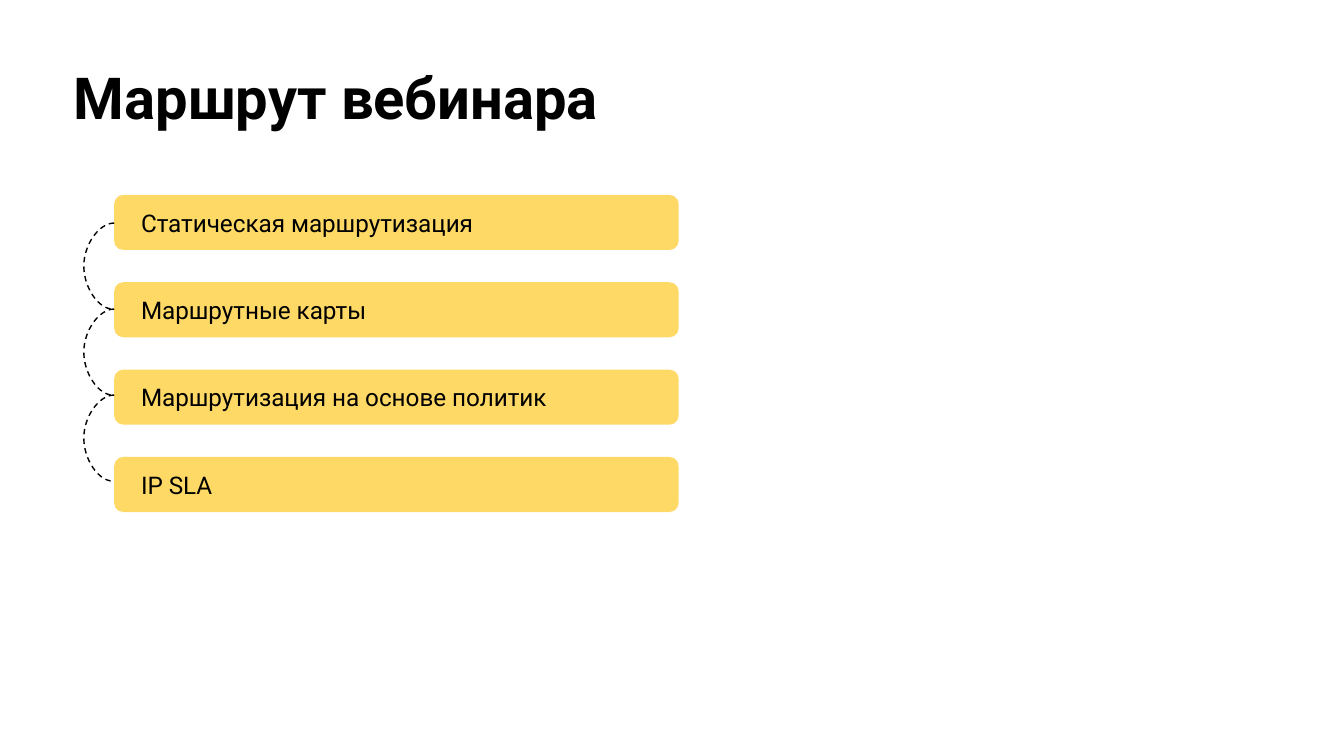
"""Build the webinar route slide."""
from lxml.etree import SubElement
from pptx import Presentation
from pptx.dml.color import RGBColor
from pptx.enum.dml import MSO_LINE
from pptx.enum.shapes import MSO_CONNECTOR, MSO_SHAPE
from pptx.enum.text import MSO_ANCHOR, PP_ALIGN
from pptx.oxml.ns import qn
from pptx.util import Inches, Pt

TITLE = "Маршрут вебинара"
STEPS = [
    "Статическая маршрутизация",
    "Маршрутные карты",
    "Маршрутизация на основе политик",
    "IP SLA",
]
BLACK = RGBColor(0, 0, 0)
YELLOW = RGBColor(0xFF, 0xD9, 0x66)
LEFT, TOP, WIDTH, HEIGHT, PITCH = 0.85, 1.45, 4.2, 0.41, 0.65
ARC_TOP, ARC_STEP, ARC_WIDTH, BULGE = 1.66, 0.64, 0.01, 23


def write(shape, text, size, side, anchor, bold=False):
    frame = shape.text_frame
    frame.word_wrap = True
    frame.vertical_anchor = anchor
    frame.margin_left = frame.margin_right = Inches(side)
    frame.margin_top = frame.margin_bottom = Inches(0.1)
    para = frame.paragraphs[0]
    para.alignment = PP_ALIGN.LEFT
    run = para.add_run()
    run.text = text
    run.font.name = "Roboto"
    run.font.size = Pt(size)
    run.font.bold = bold
    run.font.color.rgb = BLACK


def add_bar(slide, row, text):
    bar = slide.shapes.add_shape(
        MSO_SHAPE.ROUNDED_RECTANGLE, Inches(LEFT), Inches(TOP + row * PITCH),
        Inches(WIDTH), Inches(HEIGHT))
    bar.adjustments[0] = 0.167
    bar.shadow.inherit = False
    bar.fill.solid()
    bar.fill.fore_color.rgb = YELLOW
    bar.line.fill.background()
    write(bar, text, 13, 0.18, MSO_ANCHOR.MIDDLE)


def add_arc(slide, row):
    top = ARC_TOP + row * ARC_STEP
    arc = slide.shapes.add_connector(
        MSO_CONNECTOR.CURVE, Inches(LEFT - ARC_WIDTH), Inches(top + ARC_STEP),
        Inches(LEFT), Inches(top))
    arc.line.color.rgb = BLACK
    arc.line.width = Pt(0.74)
    arc.line.dash_style = MSO_LINE.DASH
    props = arc.element.spPr
    props.find(qn("a:xfrm")).set("rot", "10800000")
    guides = props.find(qn("a:prstGeom")).find(qn("a:avLst"))
    SubElement(guides, qn("a:gd"), name="adj1", fmla=f"val {BULGE * 100000}")
    SubElement(props, qn("a:effectLst"))


deck = Presentation()
deck.slide_width = Inches(10)
deck.slide_height = Inches(10 * 9 / 16)
slide = deck.slides.add_slide(deck.slide_layouts[6])
head = slide.shapes.add_textbox(
    Inches(0.55), Inches(0.36), Inches(9.32), Inches(1.2))
write(head, TITLE, 31, 0, MSO_ANCHOR.TOP, bold=True)
for row, text in enumerate(STEPS):
    add_bar(slide, row, text)
for row in range(len(STEPS) - 1):
    add_arc(slide, row)
deck.save("out.pptx")
